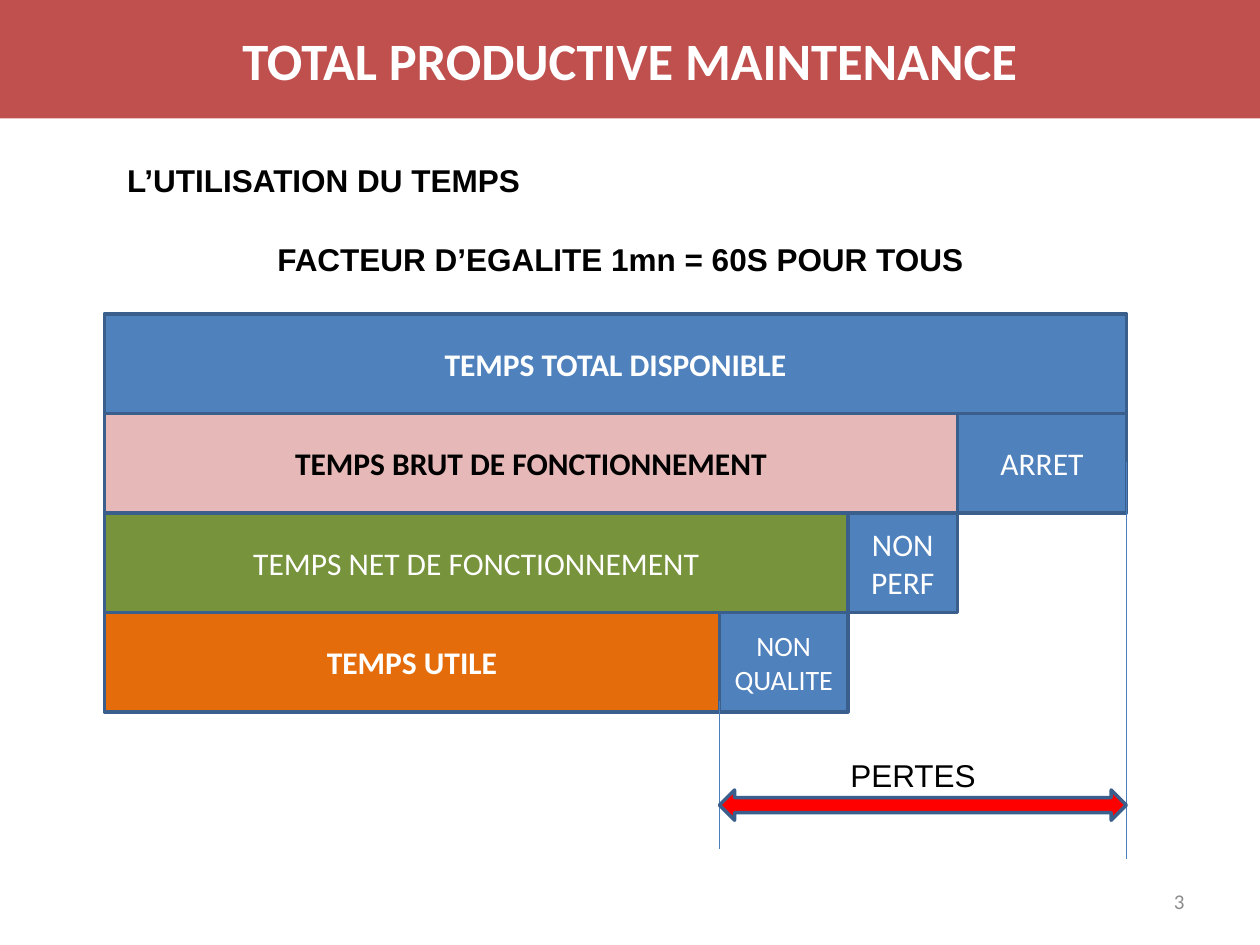
from dataclasses import dataclass

from lxml.etree import SubElement
from pptx import Presentation
from pptx.dml.color import RGBColor
from pptx.enum.shapes import MSO_CONNECTOR, MSO_SHAPE
from pptx.enum.text import MSO_ANCHOR, MSO_AUTO_SIZE, PP_ALIGN
from pptx.oxml.ns import qn
from pptx.util import Inches, Pt


@dataclass(frozen=True)
class Theme:
    banner: str = "C0504D"
    blue: str = "4F81BD"
    pink: str = "E6B9B8"
    green: str = "77933C"
    orange: str = "E46C0A"
    red: str = "FF0000"
    outline: str = "3A5F8C"
    guide: str = "4B7EBC"
    white: str = "FFFFFF"
    black: str = "000000"
    grey: str = "8C8C8C"
    title_size: int = 30
    body_size: int = 18
    small_size: int = 16
    number_size: int = 12
    outline_width: float = 2
    guide_width: float = 0.75
    block_font: str = "Calibri"
    note_font: str = "Arial"


class SlideBuilder:
    def __init__(self, slide, theme):
        self.slide = slide
        self.theme = theme

    def set_text(self, frame, text, size, color, font, bold=False, align=PP_ALIGN.CENTER):
        frame.text = text
        for paragraph in frame.paragraphs:
            paragraph.alignment = align
            for run in paragraph.runs:
                run.font.size = Pt(size)
                run.font.name = font
                run.font.bold = bold
                run.font.color.rgb = RGBColor.from_string(color)

    def paint(self, shape, fill):
        shape.fill.solid()
        shape.fill.fore_color.rgb = RGBColor.from_string(fill)

    def title(self, text, width, height):
        banner = self.slide.shapes.title
        banner.left, banner.top = Inches(0), Inches(0)
        banner.width, banner.height = Inches(width), Inches(height)
        self.paint(banner, self.theme.banner)
        frame = banner.text_frame
        self.set_text(frame, text, self.theme.title_size, self.theme.white,
                      self.theme.block_font, bold=True)
        frame.auto_size = MSO_AUTO_SIZE.NONE
        frame.vertical_anchor = MSO_ANCHOR.MIDDLE

    def outlined(self, kind, left, top, width, height, fill):
        shape = self.slide.shapes.add_shape(
            kind, Inches(left), Inches(top), Inches(width), Inches(height))
        shape.shadow.inherit = False
        self.paint(shape, fill)
        shape.line.color.rgb = RGBColor.from_string(self.theme.outline)
        shape.line.width = Pt(self.theme.outline_width)
        return shape

    def block(self, text, left, top, width, height, fill, color, bold=False, size=None):
        block = self.outlined(MSO_SHAPE.RECTANGLE, left, top, width, height, fill)
        block.text_frame.vertical_anchor = MSO_ANCHOR.MIDDLE
        self.set_text(block.text_frame, text, size or self.theme.body_size, color,
                      self.theme.block_font, bold)

    def double_arrow(self, left, top, width, height):
        self.outlined(MSO_SHAPE.LEFT_RIGHT_ARROW, left, top, width, height, self.theme.red)

    def note(self, text, left, top, width, bold=False, align=PP_ALIGN.LEFT, wrap=False):
        frame = self.slide.shapes.add_textbox(
            Inches(left), Inches(top), Inches(width), Inches(0.4)).text_frame
        frame.word_wrap = wrap
        frame.auto_size = MSO_AUTO_SIZE.SHAPE_TO_FIT_TEXT
        self.set_text(frame, text, self.theme.body_size, self.theme.black,
                      self.theme.note_font, bold, align)

    def page_number(self, text, left, top, width, height):
        frame = self.slide.shapes.add_textbox(
            Inches(left), Inches(top), Inches(width), Inches(height)).text_frame
        frame.word_wrap = True
        frame.vertical_anchor = MSO_ANCHOR.MIDDLE
        self.set_text(frame, text, self.theme.number_size, self.theme.grey,
                      self.theme.block_font, align=PP_ALIGN.RIGHT)

    def guide(self, x, top, bottom):
        guide = self.slide.shapes.add_connector(
            MSO_CONNECTOR.STRAIGHT, Inches(x), Inches(top), Inches(x), Inches(bottom))
        guide.line.color.rgb = RGBColor.from_string(self.theme.guide)
        guide.line.width = Pt(self.theme.guide_width)
        SubElement(guide.element.spPr, qn("a:effectLst"))


def main():
    theme = Theme()
    deck = Presentation()
    deck.slide_width, deck.slide_height = Inches(10), Inches(7.5)
    page = SlideBuilder(deck.slides.add_slide(deck.slide_layouts[5]), theme)

    page.title("TOTAL PRODUCTIVE MAINTENANCE", 10, 0.94)
    page.page_number("3", 7.17, 6.95, 2.33, 0.4)

    left, top, row_height = 0.83, 2.49, 0.79
    total_end, gross_end, net_end, useful_end = 8.94, 7.6, 6.73, 5.71
    times = [
        ("TEMPS TOTAL DISPONIBLE", total_end, theme.blue, theme.white, True),
        ("TEMPS BRUT DE FONCTIONNEMENT", gross_end, theme.pink, theme.black, True),
        ("TEMPS NET DE FONCTIONNEMENT", net_end, theme.green, theme.white, False),
        ("TEMPS UTILE", useful_end, theme.orange, theme.white, True),
    ]
    for row, (label, end, fill, color, bold) in enumerate(times):
        page.block(label, left, top + row * row_height, end - left, row_height,
                   fill, color, bold)

    losses = [
        ("ARRET", gross_end, total_end, theme.body_size),
        ("NON\nPERF", net_end, gross_end, theme.body_size),
        ("NON QUALITE", useful_end, net_end, theme.small_size),
    ]
    for row, (label, start, end, size) in enumerate(losses, 1):
        page.block(label, start, top + row * row_height, end - start, row_height,
                   theme.blue, theme.white, size=size)

    page.note("L’UTILISATION DU TEMPS", 0.91, 1.23, 3.35, bold=True)
    page.note("FACTEUR D’EGALITE 1mn = 60S POUR TOUS", 0.91, 1.86, 8.03,
              bold=True, align=PP_ALIGN.CENTER, wrap=True)

    page.guide(useful_end, 5.56, 6.74)
    page.guide(total_end, 3.67, 6.82)
    page.double_arrow(useful_end, 6.27, total_end - useful_end, 0.24)
    page.note("PERTES", 6.65, 5.95, 1.21)

    deck.save("out.pptx")


if __name__ == "__main__":
    main()
